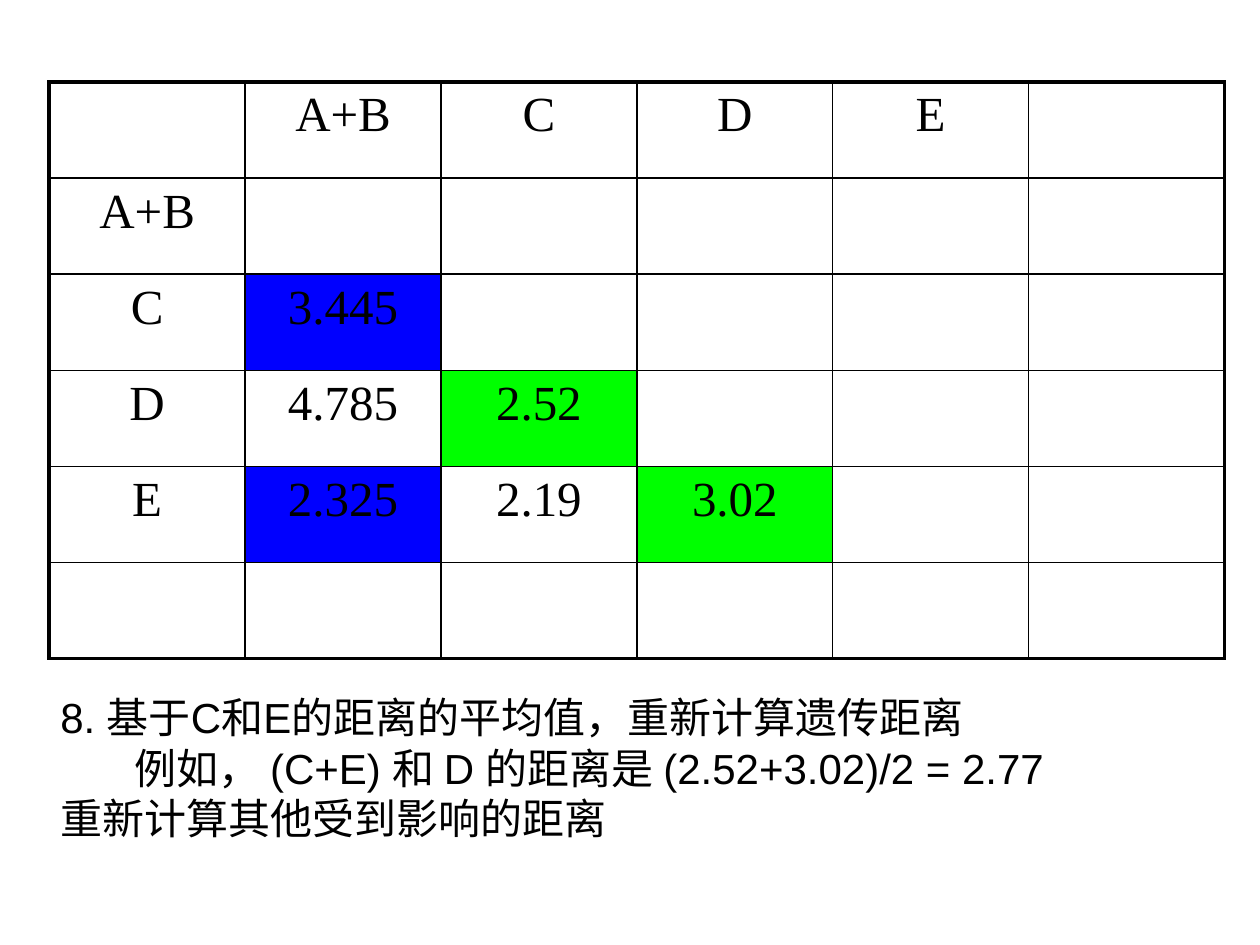
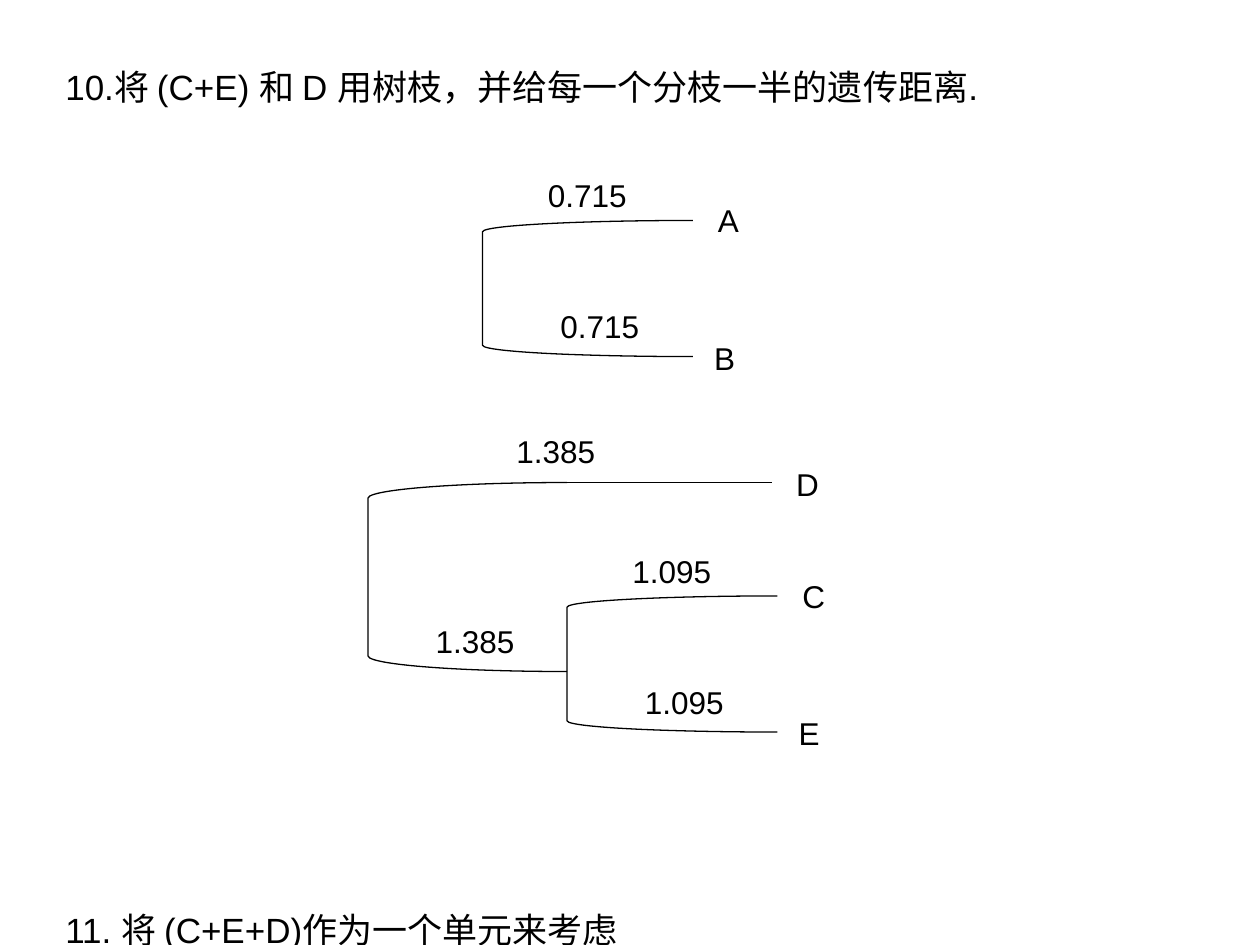
from typing import NamedTuple

from lxml.etree import SubElement
from pptx import Presentation
from pptx.dml.color import RGBColor
from pptx.enum.shapes import MSO_CONNECTOR as Conn, MSO_SHAPE as Shape
from pptx.enum.text import PP_ALIGN as Align
from pptx.oxml import parse_xml
from pptx.oxml.ns import nsdecls, qn
from pptx.util import Inches, Pt

BLACK = RGBColor(0x00, 0x00, 0x00)
BLUE = RGBColor(0x00, 0x00, 0xFF)
GREEN = RGBColor(0x00, 0xFF, 0x00)
SANS = "Arial"
SERIF = "Times New Roman"

SIDE = 6
COL, ROW = Inches(1.555), Inches(0.763)
THIN, THICK = 1, 2.25
GRID = [
    ["", "A+B", "C", "D", "E"],
    ["A+B"],
    ["C", "3.445"],
    ["D", "4.785", "2.52"],
    ["E", "2.325", "2.19", "3.02"],
    [],
]
FILLS = {(2, 1): BLUE, (4, 1): BLUE, (3, 2): GREEN, (4, 3): GREEN}


class Label(NamedTuple):
    text: str
    left: float
    top: float


class Clade(NamedTuple):
    """A bracket and its labels, which are placed from its top left corner."""
    left: float
    top: float
    width: float
    height: float
    labels: list[Label]


def make_pair(left: float, top: float, first: str, second: str, length: str) -> Clade:
    """Two neighbouring leaves joined by branches of one length."""
    return Clade(left, top, 1.67, 1.08, [
        Label(first, 1.77, -0.2), Label(second, 1.74, 0.89),
        Label(length, 0.42, -0.4), Label(length, 0.52, 0.64),
    ])


CLADES = [
    make_pair(3.83, 1.75, "A", "B", "0.715"),
    make_pair(4.5, 4.73, "C", "E", "1.095"),
    Clade(2.92, 3.83, 1.58, 1.5, [
        Label("D", 3.3, -0.19), Label("1.385", 0.44, 1.06), Label("1.385", 1.08, -0.45),
    ]),
]


def style(para, size: float, font: str = SANS) -> None:
    for run in para.runs:
        run.font.size = Pt(size)
        run.font.name = font
        run.font.color.rgb = BLACK


def add_text(slide, lines: list[str], left: float, top: float, width: float,
             height: float, size: float, wrap: bool = True):
    frame = slide.shapes.add_textbox(
        Inches(left), Inches(top), Inches(width), Inches(height)).text_frame
    frame.word_wrap = wrap
    frame.text = "\n".join(lines)
    for para in frame.paragraphs:
        style(para, size)
    return frame


def indent(para, margin: float, first: float) -> None:
    props = para._p.get_or_add_pPr()
    props.set("marL", str(Inches(margin)))
    props.set("indent", str(Inches(first)))


def set_edges(cell, row: int, col: int) -> None:
    """Rule the cell, with thick lines on the outside of the table."""
    outer = {"L": col == 0, "R": col == SIDE - 1, "T": row == 0, "B": row == SIDE - 1}
    props = cell._tc.get_or_add_tcPr()
    for place, (side, thick) in enumerate(outer.items()):
        width = Pt(THICK if thick else THIN)
        props.insert(place, parse_xml(
            f'<a:ln{side} {nsdecls("a")} w="{width}"><a:solidFill>'
            f'<a:srgbClr val="{BLACK}"/></a:solidFill></a:ln{side}>'))


def add_matrix(slide) -> None:
    table = slide.shapes.add_table(
        SIDE, SIDE, Inches(0.39), Inches(0.65), COL * SIDE, ROW * SIDE).table
    table.first_row = table.horz_banding = False
    for line in table.columns:
        line.width = COL
    for row, line in enumerate(table.rows):
        line.height = ROW
        for col, cell in enumerate(line.cells):
            if (row, col) in FILLS:
                cell.fill.solid()
                cell.fill.fore_color.rgb = FILLS[row, col]
            else:
                cell.fill.background()
            set_edges(cell, row, col)
            if col < len(GRID[row]) and GRID[row][col]:
                para = cell.text_frame.paragraphs[0]
                para.text = GRID[row][col]
                para.alignment = Align.CENTER
                style(para, 28, SERIF)


def set_line(shape) -> None:
    shape.line.color.rgb = BLACK
    shape.line.width = Pt(0.75)


def add_clade(slide, clade: Clade) -> None:
    left, top, width, height, labels = clade
    shape = slide.shapes.add_shape(
        Shape.LEFT_BRACKET, Inches(left), Inches(top), Inches(width), Inches(height))
    shape.adjustments[0] = 0.083
    shape.shadow.inherit = False
    shape.fill.background()
    set_line(shape)
    for label in labels:
        add_text(slide, [label.text], left + label.left, top + label.top,
                 0.37 if len(label.text) == 1 else 0.83, 0.4, 18, wrap=False)


def add_branch(slide, left: float, right: float, top: float) -> None:
    line = slide.shapes.add_connector(
        Conn.STRAIGHT, Inches(left), Inches(top), Inches(right), Inches(top))
    set_line(line)
    SubElement(line._element.spPr, qn("a:effectLst"))


def draw_matrix(slide) -> None:
    add_matrix(slide)
    frame = add_text(slide, [
        "8. 基于C和E的距离的平均值，重新计算遗传距离",
        "例如， (C+E) 和 D 的距离是 (2.52+3.02)/2 = 2.77",
        "重新计算其他受到影响的距离",
    ], 0.38, 5.44, 8.31, 1.7, 24)
    indent(frame.paragraphs[1], 0, 0.59)


def draw_tree(slide) -> None:
    for clade in CLADES:
        add_clade(slide, clade)
    add_branch(slide, 4.38, 6.13, 3.83)
    steps = [
        ("10.将 (C+E) 和 D 用树枝，并给每一个分枝一半的遗传距离.", 0.47, 0.77),
        ("11. 将 (C+E+D)作为一个单元来考虑", 7.16, 0.34),
    ]
    for text, top, height in steps:
        frame = add_text(slide, [text], 0.42, top, 7.46, height, 20)
        frame.margin_bottom = 0
        indent(frame.paragraphs[0], 0.38, -0.38)


def main() -> None:
    deck = Presentation()
    deck.slide_width, deck.slide_height = Inches(10), Inches(7.5)
    for draw in (draw_matrix, draw_tree):
        draw(deck.slides.add_slide(deck.slide_layouts[6]))
    deck.save("out.pptx")


if __name__ == "__main__":
    main()
